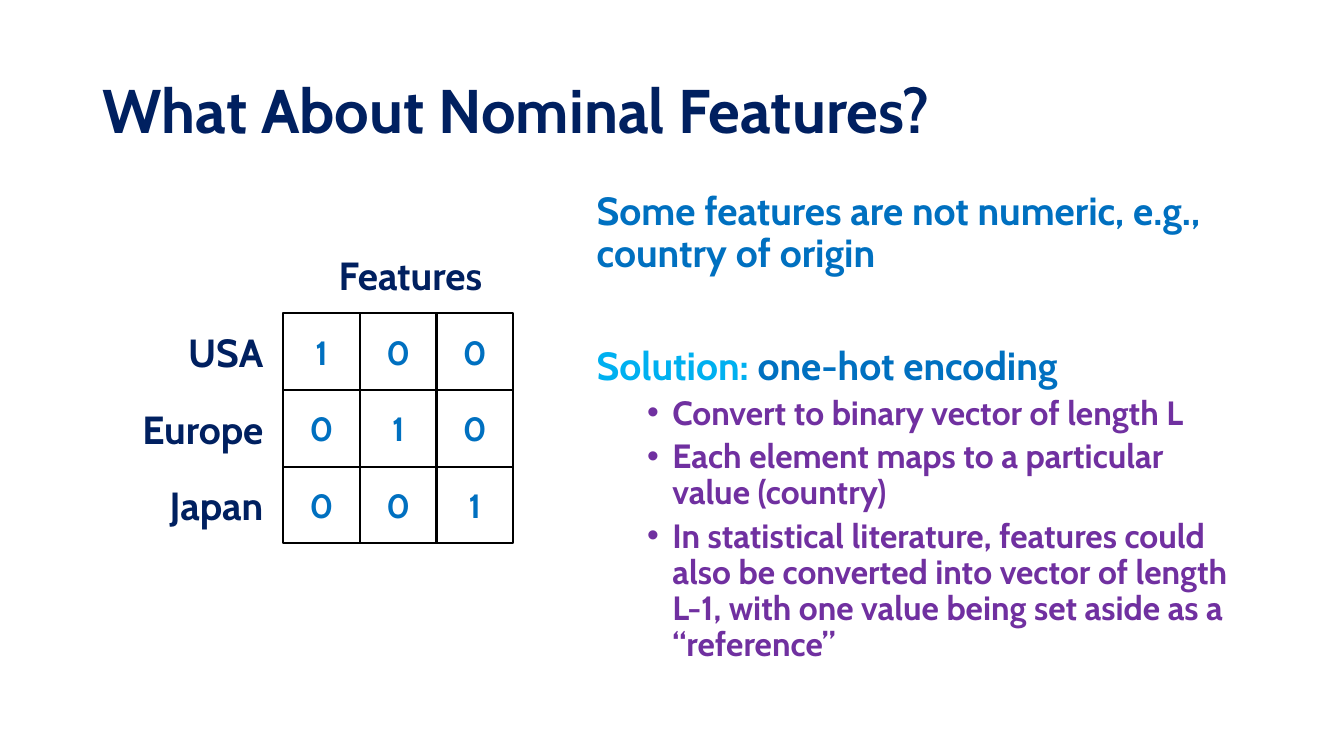
from pptx import Presentation
from pptx.dml.color import RGBColor as RGB
from pptx.enum.shapes import MSO_SHAPE as SHAPE
from pptx.enum.text import MSO_ANCHOR as ANCHOR, PP_ALIGN as ALIGN
from pptx.oxml.ns import qn
from pptx.util import Inches, Pt
from lxml import etree

COLORS = {"navy": "002060", "blue": "0070C0", "sky": "00B0F0", "purple": "7030A0", "black": "000000"}
CELL = 0.76
GRID_LEFT, GRID_TOP = 2.81, 3.11
LABEL_WIDTH = 2 * CELL

prs = Presentation()
prs.slide_width, prs.slide_height = Inches(13.33), Inches(7.5)
s = prs.slides.add_slide(prs.slide_layouts[6])


def style(p, size, color, align=ALIGN.LEFT):
    p.alignment = align
    p.font.name, p.font.size, p.font.bold = "Cabin", Pt(size), True
    p.font.color.rgb = RGB.from_string(COLORS[color])


def add_text(left, top, width, height, text, size, align=ALIGN.LEFT):
    tf = s.shapes.add_textbox(*map(Inches, (left, top, width, height))).text_frame
    tf.word_wrap = True
    tf.vertical_anchor = ANCHOR.MIDDLE
    tf.text = text
    style(tf.paragraphs[0], size, "navy", align)
    return tf


title = add_text(0.92, 0.4, 11.5, 1.45, "What About Nominal Features?", 44)
title.paragraphs[0].line_spacing = 0.9

tf = s.shapes.add_textbox(*map(Inches, (5.82, 1.85, 6.59, 5.14))).text_frame
tf.word_wrap = True
p = tf.paragraphs[0]
p.text = "Some features are not numeric, e.g., country of origin"
style(p, 28, "blue")
p.line_spacing, p.space_before = 0.9, Pt(10)

p = tf.add_paragraph()
style(p, 28, "blue")
p.line_spacing, p.space_before = 0.9, Pt(50.6)
for text, color in [("Solution: ", "sky"), ("one-hot encoding", "blue")]:
    r = p.add_run()
    r.text = text
    r.font.color.rgb = RGB.from_string(COLORS[color])

for text in [
    "Convert to binary vector of length L",
    "Each element maps to a particular value (country)",
    "In statistical literature, features could also be converted into vector of length L-1, "
    "with one value being set aside as a “reference”",
]:
    p = tf.add_paragraph()
    p.text = text
    p.level = 1
    style(p, 24, "purple")
    p.line_spacing, p.space_before = 0.9, Pt(5)
    pPr = p._p.get_or_add_pPr()
    pPr.set("marL", str(Inches(0.75)))
    pPr.set("indent", str(Inches(-0.25)))
    bullet_font = etree.Element(qn("a:buFont"), typeface="Arial")
    bullet = etree.Element(qn("a:buChar"), char="•")
    pPr.find(qn("a:defRPr")).addprevious(bullet_font)
    bullet_font.addnext(bullet)

countries = ["USA", "Europe", "Japan"]
for row, country in enumerate(countries):
    top = GRID_TOP + row * CELL
    add_text(GRID_LEFT - 0.1 - LABEL_WIDTH, top, LABEL_WIDTH, CELL, country, 28, ALIGN.RIGHT)
    for col in range(len(countries)):
        sp = s.shapes.add_shape(SHAPE.RECTANGLE, *map(Inches, (GRID_LEFT + col * CELL, top, CELL, CELL)))
        sp.shadow.inherit = False
        sp.fill.background()
        sp.line.color.rgb = RGB.from_string(COLORS["black"])
        sp.line.width = Pt(1.5)
        sp.text_frame.vertical_anchor = ANCHOR.MIDDLE
        sp.text_frame.text = "1" if row == col else "0"
        style(sp.text_frame.paragraphs[0], 24, "blue", ALIGN.CENTER)

add_text(3.02, GRID_TOP - CELL, 1.86, CELL, "Features", 28, ALIGN.RIGHT)

prs.save("out.pptx")
